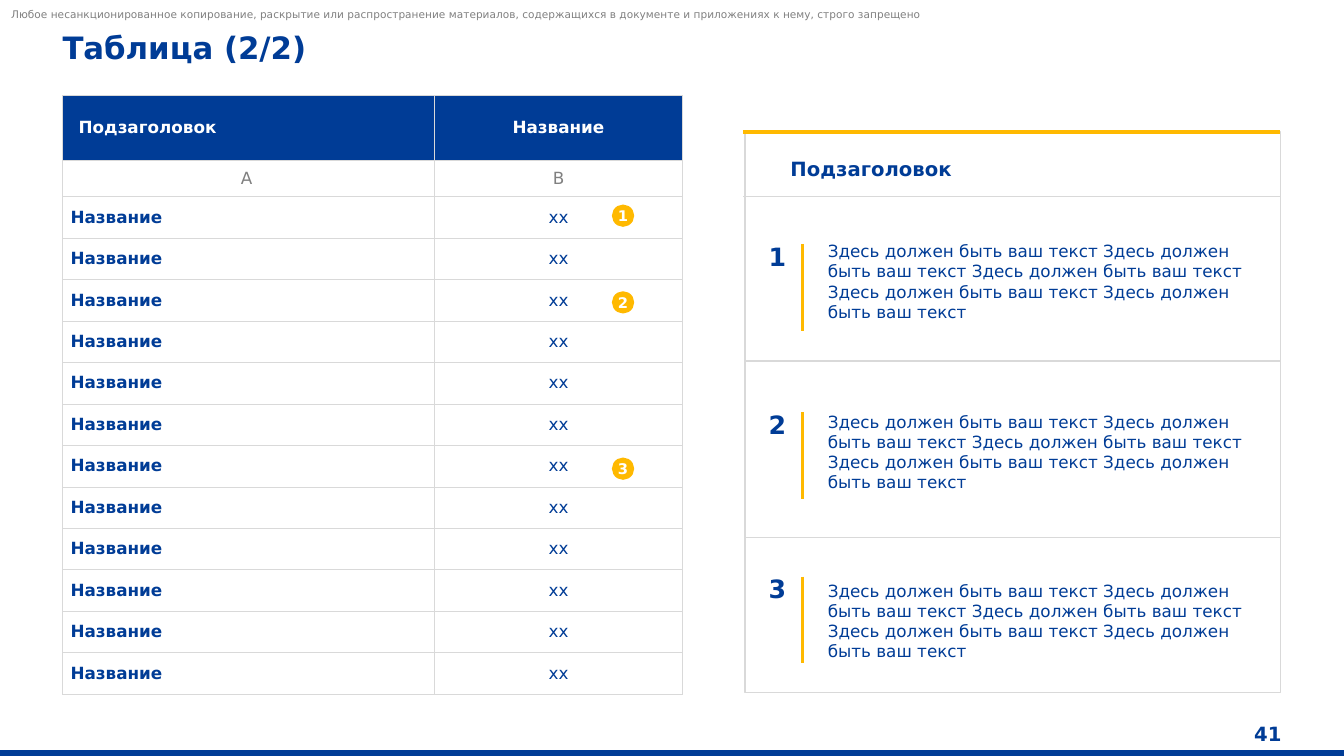
from lxml import etree
from pptx import Presentation
from pptx.dml.color import RGBColor
from pptx.enum import shapes, text
from pptx.oxml import ns, parse_xml
from pptx.util import Inches, Pt

COLORS = {"blue": "003C96", "gold": "FFB900", "gray": "808080", "rule": "D9D9D9", "white": "FFFFFF"}
LEFT, CENTER, RIGHT = text.PP_ALIGN.LEFT, text.PP_ALIGN.CENTER, text.PP_ALIGN.RIGHT
TOP, MIDDLE, BOTTOM = text.MSO_ANCHOR.TOP, text.MSO_ANCHOR.MIDDLE, text.MSO_ANCHOR.BOTTOM
NO_MARGINS = {"margin_left": 0, "margin_top": 0, "margin_right": 0, "margin_bottom": 0}

deck = Presentation()
deck.slide_width, deck.slide_height = Inches(13.33), Inches(7.5)
page = deck.slides.add_slide(deck.slide_layouts[5])


def write(frame, words, size, color="blue", bold=False, align=LEFT, **frame_format):
    for name, value in frame_format.items():
        setattr(frame, name, value)
    para = frame.paragraphs[0]
    para.alignment = align
    span = para.add_run()
    span.text = words
    font_format = {"name": "DejaVu Sans", "size": Pt(size), "bold": bold}
    for name, value in font_format.items():
        setattr(span.font, name, value)
    span.font.color.rgb = RGBColor.from_string(COLORS[color])


def draw_line(x1, y1, x2, y2, color, width):
    line = page.shapes.add_connector(
        shapes.MSO_CONNECTOR.STRAIGHT, Inches(x1), Inches(y1), Inches(x2), Inches(y2))
    line.line.color.rgb = RGBColor.from_string(COLORS[color])
    line.line.width = Pt(width)
    etree.SubElement(line._element.spPr, ns.qn("a:effectLst"))


footer_bar = page.shapes.add_shape(
    shapes.MSO_SHAPE.RECTANGLE, 0, Inches(7.45), deck.slide_width, Inches(0.05))
footer_bar.shadow.inherit = False
footer_bar.fill.solid()
footer_bar.fill.fore_color.rgb = RGBColor.from_string(COLORS["blue"])
footer_bar.line.color.rgb = RGBColor.from_string(COLORS["blue"])
footer_bar.line.width = Pt(1)

title = page.shapes.title
title_place = {"left": 0.62, "top": 0.28, "width": 10.94, "height": 0.37}
for name, value in title_place.items():
    setattr(title, name, Inches(value))
write(title.text_frame, "Таблица (2/2)", 22, bold=True, vertical_anchor=TOP,
      auto_size=text.MSO_AUTO_SIZE.NONE, word_wrap=True, **NO_MARGINS)

NOTICE = ("Любое несанкционированное копирование, раскрытие или распространение материалов, "
          "содержащихся в документе и приложениях к нему, строго запрещено")
BODY = " ".join(["Здесь должен быть ваш текст"] * 5)
labels = [
    (0.11, 0.07, 11.48, 0.13, NOTICE, 7.5, "gray", False, LEFT, BOTTOM),
    (12.14, 7.16, 0.57, 0.24, "41", 14, "blue", True, RIGHT, MIDDLE),
    (7.84, 1.55, 4.57, 0.24, "Подзаголовок", 14, "blue", True, LEFT, BOTTOM),
]
notes = [(2.39, 2.39), (4.06, 4.08), (5.69, 5.76)]
for number, (number_top, body_top) in enumerate(notes, 1):
    labels.append((7.49, number_top, 0.44, 0.3, str(number), 18, "blue", True, CENTER, TOP))
    labels.append((8.21, body_top, 4.19, 0.81, BODY, 12, "blue", False, LEFT, TOP))
    draw_line(7.96, number_top + 0.03, 7.96, number_top + 0.89, "gold", 2.25)
for left, top, width, height, words, size, color, bold, align, anchor in labels:
    box = page.shapes.add_textbox(Inches(left), Inches(top), Inches(width), Inches(height))
    write(box.text_frame, words, size, color, bold, align,
          vertical_anchor=anchor, word_wrap=True, **NO_MARGINS)

rows = [("Подзаголовок", "Название"), ("A", "B")] + [("Название", "хх")] * 12
heights = [0.64, 0.35] + [4.94 / 12] * 12
table = page.shapes.add_table(
    len(rows), 2, Inches(0.62), Inches(0.95), Inches(6.15), Inches(sum(heights))).table
for column, width in zip(table.columns, (3.69, 2.46)):
    column.width = Inches(width)
for row_index, (row, height) in enumerate(zip(rows, heights)):
    table.rows[row_index].height = Inches(height)
    for column_index, words in enumerate(row):
        cell = table.cell(row_index, column_index)
        is_header, is_letter, is_name = row_index == 0, row_index == 1, column_index == 0
        cell_format = {
            "vertical_anchor": MIDDLE,
            "margin_left": Inches(0.16 if is_header and is_name else 0.08),
            "margin_right": Inches(0.12 if is_name else 0.08),
            "margin_top": Inches(0.08),
            "margin_bottom": Inches(0.08),
        }
        for name, value in cell_format.items():
            setattr(cell, name, value)
        for side in ("lnL", "lnR", "lnT", "lnB"):
            cell._tc.get_or_add_tcPr().append(parse_xml(
                f'<a:{side} {ns.nsdecls("a")} w="{Pt(0.5)}"><a:solidFill>'
                f'<a:srgbClr val="{COLORS["rule"]}"/></a:solidFill></a:{side}>'))
        cell.fill.solid()
        cell.fill.fore_color.rgb = RGBColor.from_string(COLORS["blue" if is_header else "white"])
        color = "white" if is_header else "gray" if is_letter else "blue"
        write(cell.text_frame, words, 12, color, is_header or (is_name and not is_letter),
              LEFT if is_name and not is_letter else CENTER)

for number, top in enumerate((2.04, 2.9, 4.55), 1):
    badge = page.shapes.add_shape(
        shapes.MSO_SHAPE.OVAL, Inches(6.08), Inches(top), Inches(0.2), Inches(0.2))
    badge.shadow.inherit = False
    badge.fill.solid()
    badge.fill.fore_color.rgb = RGBColor.from_string(COLORS["gold"])
    badge.line.color.rgb = RGBColor.from_string(COLORS["gold"])
    badge.line.width = Pt(1.5)
    write(badge.text_frame, str(number), 10.5, "white", True, CENTER,
          vertical_anchor=MIDDLE, word_wrap=False, **NO_MARGINS)

panel = page.shapes.add_shape(
    shapes.MSO_SHAPE.RECTANGLE, Inches(7.39), Inches(1.31), Inches(5.31), Inches(5.56))
panel.shadow.inherit = False
panel.fill.background()
panel.line.color.rgb = RGBColor.from_string(COLORS["rule"])
panel.line.width = Pt(1)
draw_line(7.37, 1.31, 12.7, 1.31, "gold", 2.25)
for left, top, right in ((7.37, 1.95, 12.7), (7.39, 3.58, 12.71), (7.39, 5.33, 12.71)):
    draw_line(left, top, right, top, "rule", 1)

deck.save("out.pptx")
